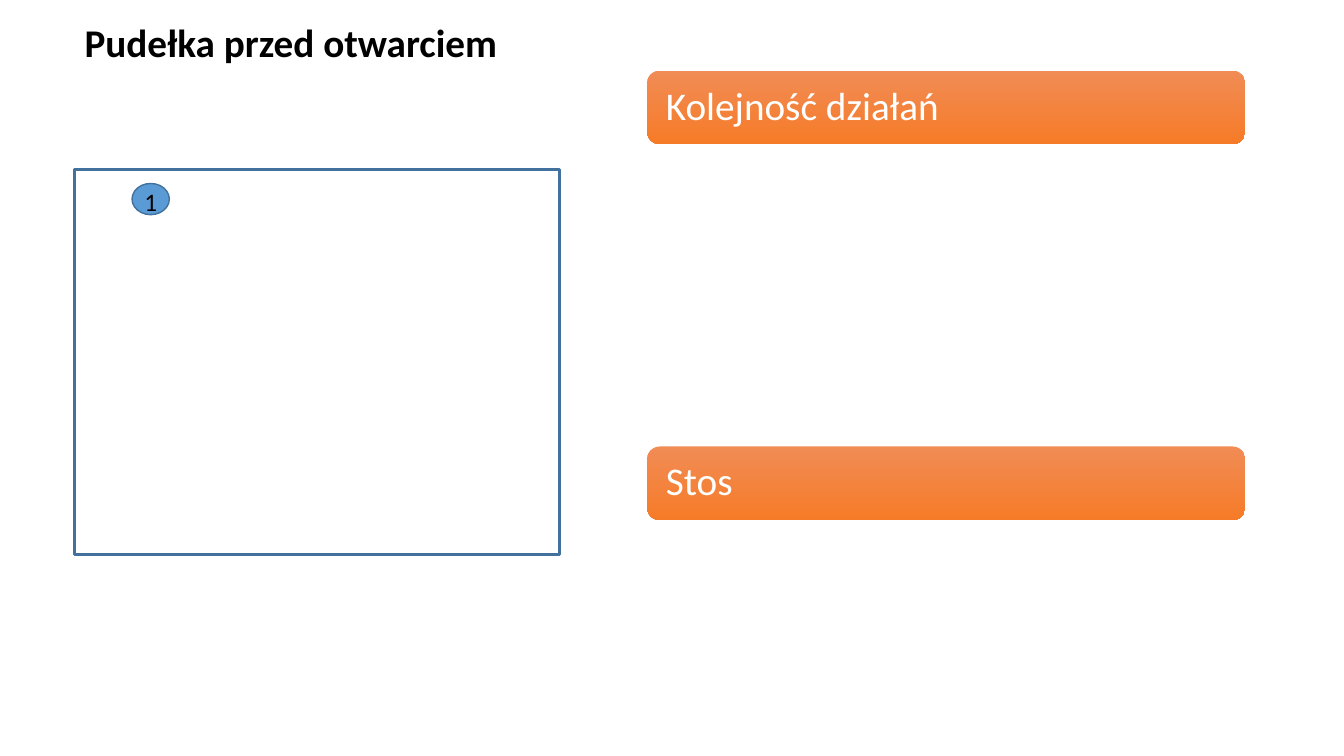
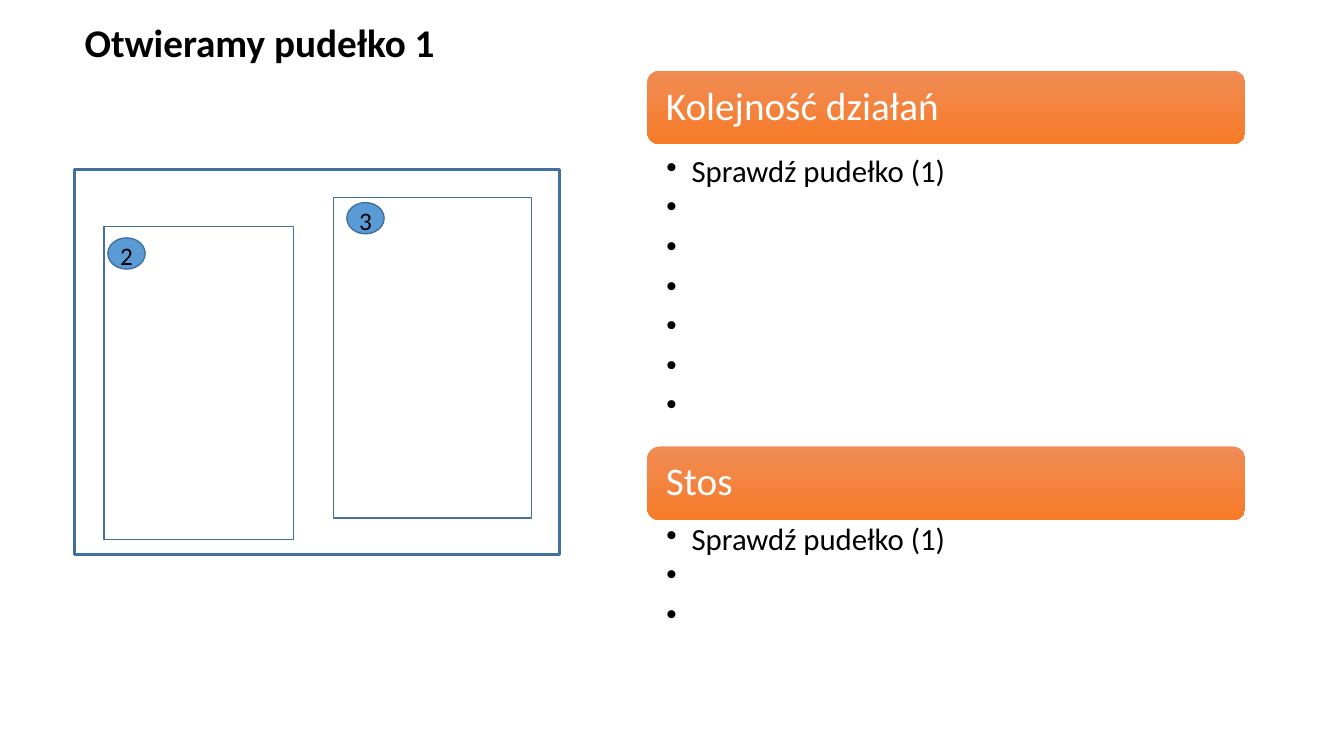
from lxml import etree
from pptx import Presentation
from pptx.dml.color import RGBColor
from pptx.enum.shapes import MSO_SHAPE
from pptx.enum.text import MSO_ANCHOR, PP_ALIGN
from pptx.oxml.ns import qn
from pptx.util import Inches, Pt

RECT, ROUND, OVAL = MSO_SHAPE.RECTANGLE, MSO_SHAPE.ROUNDED_RECTANGLE, MSO_SHAPE.OVAL
TOP, MIDDLE = MSO_ANCHOR.TOP, MSO_ANCHOR.MIDDLE
LEFT, CENTER = PP_ALIGN.LEFT, PP_ALIGN.CENTER

FONT = "Calibri"
BLACK, WHITE = "000000", "FFFFFF"
BLUE, EDGE = "5B9BD5", "41719C"
BAND = ("F18C55", "F67B28")
PANEL_X, PANEL_W, BAND_H = 6.42, 5.93, 0.73
ORDER_Y, STACK_Y = 0.7, 4.43


def rgb(code):
    return RGBColor.from_string(code)


class Deck:
    def __init__(self):
        self.prs = Presentation()
        self.prs.slide_width = Inches(13.33)
        self.prs.slide_height = Inches(7.5)

    def page(self, title):
        """Start a slide with its title and the two bands."""
        self.slide = self.prs.slides.add_slide(self.prs.slide_layouts[6])
        box = self.slide.shapes.add_textbox(
            Inches(0.74), Inches(0.13), Inches(12.59), Inches(0.57))
        self.label(box, [title], 28, pad=(0.1, 0.05, 0.1, 0.05), bold=True)
        self.band("Kolejność działań", ORDER_Y)
        self.band("Stos", STACK_Y)

    def label(self, shape, lines, size, color=BLACK, pad=(0, 0, 0, 0),
              anchor=TOP, align=LEFT, bold=False):
        frame = shape.text_frame
        frame.word_wrap = True
        frame.vertical_anchor = anchor
        (frame.margin_left, frame.margin_top,
         frame.margin_right, frame.margin_bottom) = map(Inches, pad)
        frame.text = "\n".join(lines)
        for para in frame.paragraphs:
            para.alignment = align
            font = para.font
            font.name, font.size, font.bold = FONT, Pt(size), bold
            font.color.rgb = rgb(color)
        return frame

    def shape(self, kind, x, y, w, h, fill=None, line=None, width=1):
        item = self.slide.shapes.add_shape(
            kind, Inches(x), Inches(y), Inches(w), Inches(h))
        item.shadow.inherit = False
        if fill:
            item.fill.solid()
            item.fill.fore_color.rgb = rgb(fill)
        else:
            item.fill.background()
        if line:
            item.line.color.rgb = rgb(line)
            item.line.width = Pt(width)
        else:
            item.line.fill.background()
        return item

    def band(self, text, y):
        item = self.shape(ROUND, PANEL_X, y, PANEL_W, BAND_H)
        item.fill.gradient()
        item.fill.gradient_angle = 270
        for stop, code in zip(item.fill.gradient_stops, BAND):
            stop.color.rgb = rgb(code)
        frame = self.label(item, [text], 28, WHITE, (0.15,) * 4, MIDDLE)
        frame.paragraphs[0].line_spacing = 0.9

    def steps(self, y, h, first, count):
        """List one step, then open bullets up to count."""
        box = self.slide.shapes.add_textbox(
            Inches(PANEL_X), Inches(y), Inches(PANEL_W), Inches(h))
        lines = [first] + [" "] * (count - 1)
        frame = self.label(box, lines, 22, pad=(0.19, 0.04, 0.22, 0.04))
        for para in frame.paragraphs:
            para.line_spacing = 0.9
            para.space_after = Pt(4.5)
            props = para._p.get_or_add_pPr()
            props.set("marL", str(Inches(0.25)))
            props.set("indent", str(Inches(-0.25)))
            mark = etree.Element(qn("a:buChar"), char="•")
            props.insert_element_before(mark, "a:tabLst", "a:defRPr", "a:extLst")

    def box(self, x, y, w, h, width=1):
        self.shape(RECT, x, y, w, h, line=EDGE, width=width)

    def outer(self):
        self.box(0.74, 1.68, 4.81, 3.82, 2)

    def badge(self, text, x, y):
        item = self.shape(OVAL, x, y, 0.37, 0.31, BLUE, EDGE)
        self.label(item, [text], 18, pad=(0, 0.04, 0, 0), anchor=MIDDLE, align=CENTER)


def main():
    deck = Deck()

    deck.page("Pudełka przed otwarciem")
    deck.outer()
    deck.badge("1", 1.31, 1.82)

    deck.page("Otwieramy pudełko 1")
    step = "Sprawdź pudełko (1)"
    deck.steps(1.51, 2.92, step, 7)
    deck.steps(STACK_Y + BAND_H, 1.24, step, 3)
    deck.box(3.31, 1.96, 1.96, 3.18)
    deck.box(1.03, 2.25, 1.88, 3.1)
    deck.outer()
    deck.badge("2", 1.07, 2.36)
    deck.badge("3", 3.44, 2.01)

    deck.prs.save("out.pptx")


if __name__ == "__main__":
    main()
